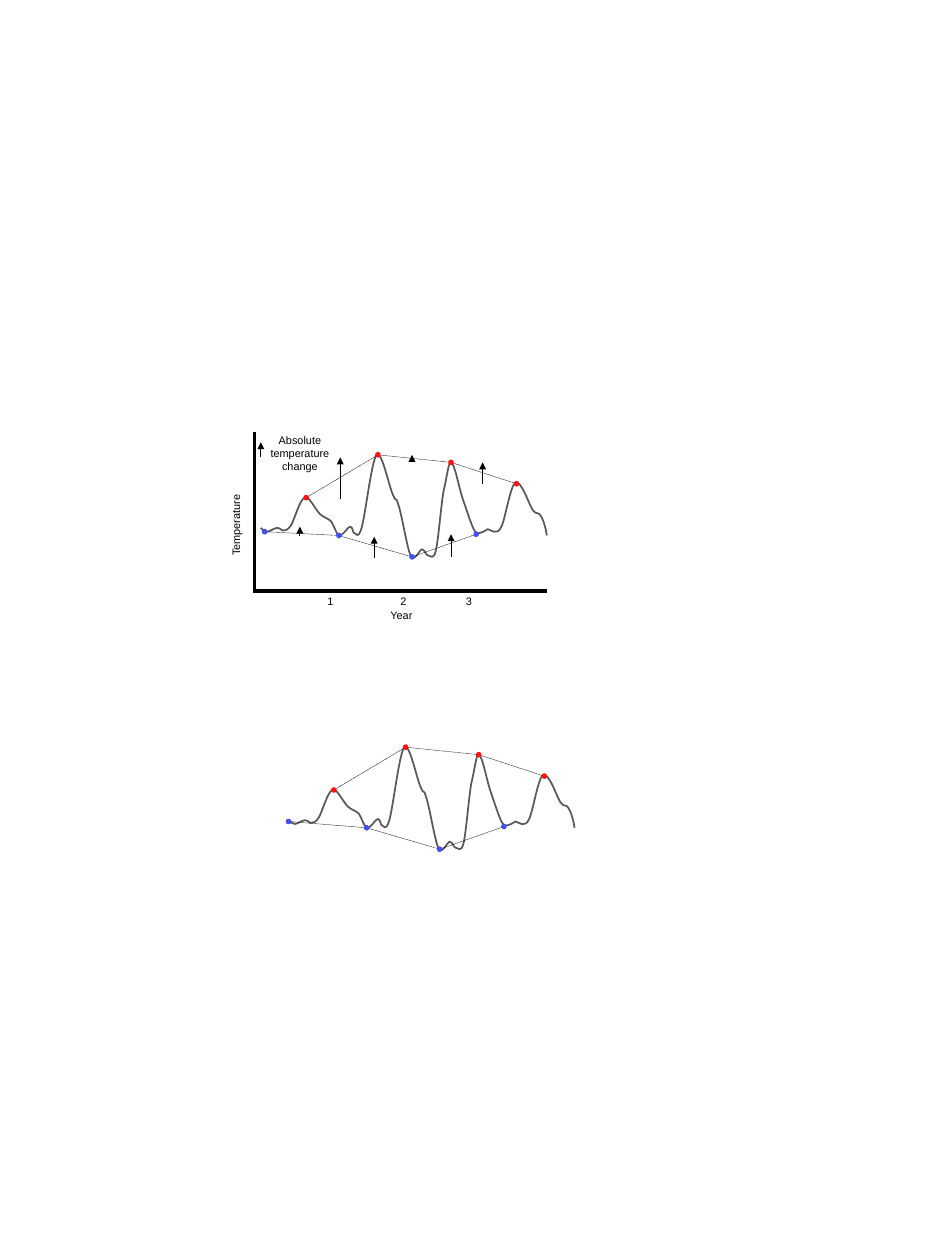
from itertools import pairwise

from lxml import etree
from pptx import Presentation
from pptx.dml.color import RGBColor
from pptx.enum.dml import MSO_LINE
from pptx.enum.shapes import MSO_CONNECTOR, MSO_SHAPE
from pptx.enum.text import MSO_AUTO_SIZE, PP_ALIGN
from pptx.oxml.ns import qn
from pptx.util import Inches, Pt

STRAIGHT = MSO_CONNECTOR.STRAIGHT
OVAL = MSO_SHAPE.OVAL
DOTTED = MSO_LINE.ROUND_DOT
FIT_SHAPE = MSO_AUTO_SIZE.SHAPE_TO_FIT_TEXT
LEFT, CENTER = PP_ALIGN.LEFT, PP_ALIGN.CENTER

BLACK = RGBColor(0x00, 0x00, 0x00)
GRAY = RGBColor(0x59, 0x59, 0x59)
RED = RGBColor(0xFF, 0x12, 0x0F)
BLUE = RGBColor(0x2F, 0x61, 0xFF)
BLUE_EDGE = RGBColor(0x43, 0x4D, 0xF3)

DOT_SIZE = 0.03
LOWER_SHIFT = (0.22, 2.32)

CURVE = [
    (2.07, 4.19),
    (2.08, 4.2), (2.1, 4.22), (2.12, 4.22),
    (2.14, 4.22), (2.18, 4.19), (2.2, 4.19),
    (2.23, 4.19), (2.24, 4.22), (2.25, 4.21),
    (2.27, 4.21), (2.28, 4.21), (2.31, 4.17),
    (2.34, 4.12), (2.38, 3.96), (2.42, 3.95),
    (2.45, 3.93), (2.5, 4.04), (2.54, 4.08),
    (2.57, 4.11), (2.6, 4.11), (2.63, 4.14),
    (2.65, 4.17), (2.67, 4.24), (2.69, 4.25),
    (2.72, 4.26), (2.76, 4.18), (2.78, 4.18),
    (2.8, 4.18), (2.8, 4.23), (2.81, 4.23),
    (2.83, 4.23), (2.84, 4.29), (2.87, 4.19),
    (2.9, 4.09), (2.95, 3.65), (2.99, 3.61),
    (3.03, 3.57), (3.09, 3.87), (3.12, 3.93),
    (3.15, 4), (3.14, 3.93), (3.16, 4),
    (3.19, 4.08), (3.23, 4.35), (3.26, 4.41),
    (3.29, 4.47), (3.33, 4.36), (3.35, 4.36),
    (3.38, 4.37), (3.38, 4.41), (3.4, 4.41),
    (3.42, 4.41), (3.44, 4.45), (3.46, 4.37),
    (3.48, 4.28), (3.5, 4.02), (3.52, 3.9),
    (3.55, 3.78), (3.56, 3.66), (3.58, 3.67),
    (3.61, 3.68), (3.64, 3.86), (3.67, 3.95),
    (3.7, 4.04), (3.74, 4.16), (3.76, 4.2),
    (3.79, 4.25), (3.79, 4.23), (3.81, 4.23),
    (3.83, 4.23), (3.85, 4.21), (3.87, 4.2),
    (3.89, 4.2), (3.9, 4.22), (3.92, 4.22),
    (3.94, 4.21), (3.95, 4.24), (3.98, 4.18),
    (4.01, 4.12), (4.05, 3.86), (4.09, 3.83),
    (4.14, 3.81), (4.2, 4.01), (4.23, 4.05),
    (4.26, 4.09), (4.27, 4.06), (4.29, 4.09),
    (4.31, 4.12), (4.33, 4.18), (4.34, 4.25),
]
PEAKS = [(2.43, 3.95), (3, 3.61), (3.58, 3.67), (4.1, 3.84)]
TROUGHS = [(2.69, 4.25), (3.27, 4.42), (3.78, 4.24)]
UPPER_START = (2.1, 4.22)
LOWER_START = (2.07, 4.2)

CHANGE_ARROWS = [
    (2.07, 3.63, 3.51),
    (2.7, 3.96, 3.63),
    (2.38, 4.25, 4.18),
    (3.27, 3.67, 3.61),
    (3.83, 3.84, 3.67),
    (2.97, 4.43, 4.26),
    (3.58, 4.42, 4.24),
]


class Diagram:
    font_name = "Arial"
    font_size = Pt(6.2)

    def __init__(self, slide):
        self.slide = slide

    def line(self, start, end, width, dash=None, arrow=False, group=None):
        shapes = group.shapes if group else self.slide.shapes
        connector = shapes.add_connector(
            STRAIGHT, *(Inches(value) for value in (*start, *end))
        )
        connector.line.color.rgb = BLACK
        connector.line.width = Pt(width)
        if dash:
            connector.line.dash_style = dash
        if arrow:
            outline = connector.line._get_or_add_ln()
            etree.SubElement(
                outline, qn("a:tailEnd"), type="triangle", w="sm", len="sm"
            )
        etree.SubElement(connector._element.spPr, qn("a:effectLst"))

    def dot(self, center, fill, edge):
        left, top = (Inches(value - DOT_SIZE / 2) for value in center)
        shape = self.slide.shapes.add_shape(
            OVAL, left, top, Inches(DOT_SIZE), Inches(DOT_SIZE)
        )
        shape.shadow.inherit = False
        shape.fill.solid()
        shape.fill.fore_color.rgb = fill
        shape.line.color.rgb = edge
        shape.line.width = Pt(1)

    def curve(self, points):
        start, *controls = [(Inches(x), Inches(y)) for x, y in points]
        builder = self.slide.shapes.build_freeform(*start)
        builder.add_line_segments(controls, close=False)
        shape = builder.convert_to_shape()
        shape.shadow.inherit = False
        shape.fill.background()
        shape.line.color.rgb = GRAY
        shape.line.width = Pt(1)
        segments = list(shape._element.iter(qn("a:lnTo")))
        outline = segments[0].getparent()
        for index in range(0, len(segments), 3):
            bezier = etree.SubElement(outline, qn("a:cubicBezTo"))
            for segment in segments[index:index + 3]:
                bezier.append(segment[0])
                outline.remove(segment)

    def text(self, text, left, top, width, height=0.21, align=LEFT, rotation=0):
        box = self.slide.shapes.add_textbox(
            Inches(left), Inches(top), Inches(width), Inches(height)
        )
        box.rotation = rotation
        frame = box.text_frame
        frame.word_wrap = True
        frame.auto_size = FIT_SHAPE
        paragraph = frame.paragraphs[0]
        paragraph.alignment = align
        run = paragraph.add_run()
        run.text = text
        run.font.name = self.font_name
        run.font.size = self.font_size
        run.font.color.rgb = BLACK

    def temperature_series(self, first_trough, shift=(0, 0)):
        def moved(points):
            return [(x + shift[0], y + shift[1]) for x, y in points]

        peaks = moved(PEAKS)
        troughs = moved([first_trough, *TROUGHS])
        self.curve(moved(CURVE))
        for extremes in (peaks, troughs):
            for start, end in pairwise(extremes):
                self.line(start, end, 0.25, dash=DOTTED)
        for center in peaks:
            self.dot(center, RED, RED)
        for center in troughs:
            self.dot(center, BLUE, BLUE_EDGE)

    def axes(self):
        group = self.slide.shapes.add_group_shape()
        self.line((2.02, 3.43), (2.02, 4.69), 2.25, group=group)
        self.line((4.34, 4.69), (2.01, 4.69), 2.25, group=group)


def main():
    presentation = Presentation()
    presentation.slide_width = Inches(7.5)
    presentation.slide_height = Inches(10)
    slide = presentation.slides.add_slide(presentation.slide_layouts[6])
    diagram = Diagram(slide)

    diagram.temperature_series(UPPER_START)
    diagram.axes()
    diagram.text("Temperature", 1.34, 3.87, 1.07, rotation=270)
    for year, left in (("1", 2.5), ("2", 3.08), ("3", 3.6)):
        diagram.text(year, left, 4.67, 0.24)
    diagram.text("Year", 3, 4.78, 1.07)
    diagram.text(
        "Absolute temperature change", 2.02, 3.39, 0.72, height=0.41, align=CENTER
    )
    for x, bottom, top in CHANGE_ARROWS:
        diagram.line((x, bottom), (x, top), 0.5, arrow=True)

    diagram.temperature_series(LOWER_START, shift=LOWER_SHIFT)
    presentation.save("out.pptx")


if __name__ == "__main__":
    main()
